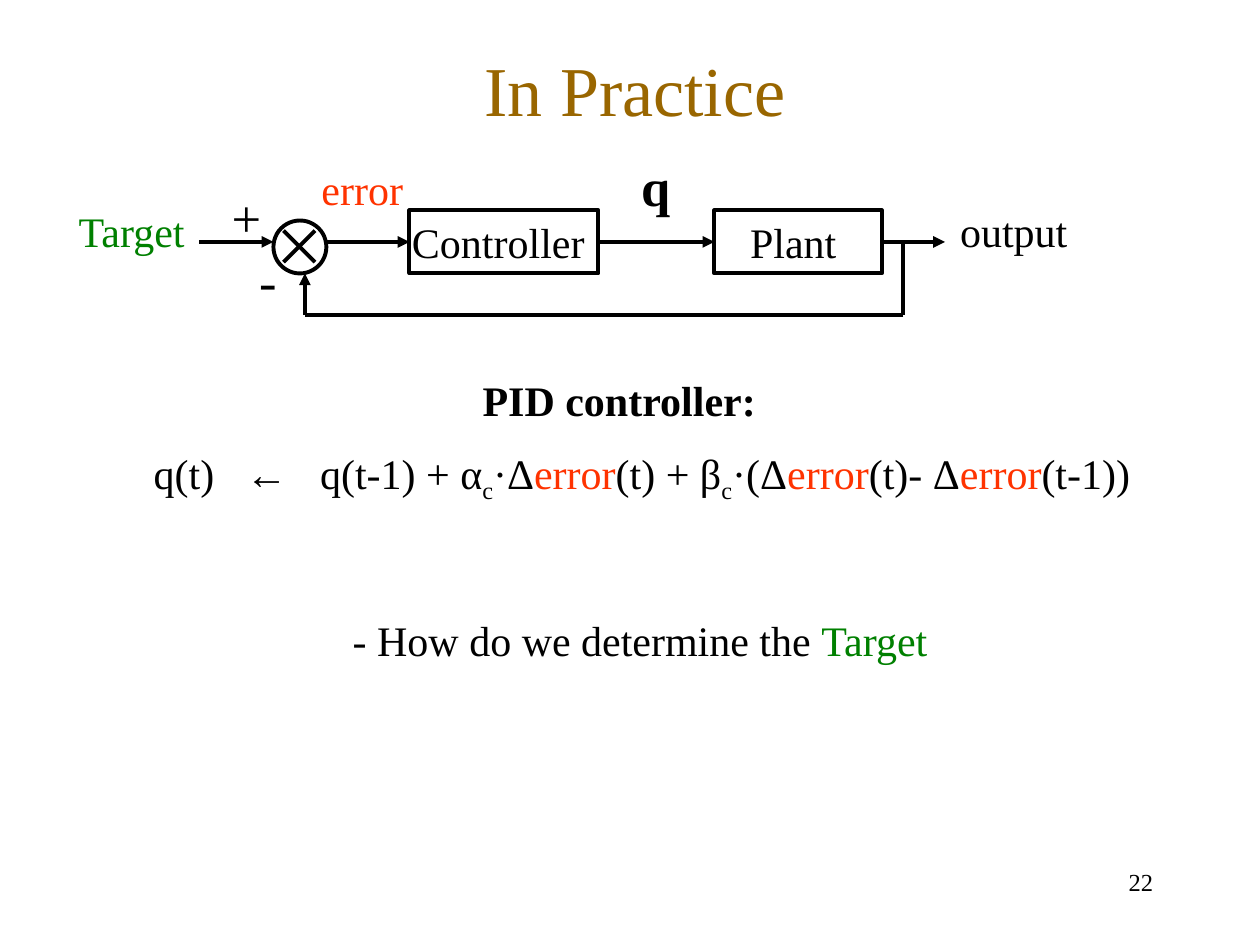
"""Build the "In Practice" slide: a feedback control loop and its PID rule."""
from dataclasses import dataclass

from lxml import etree
from pptx import Presentation
from pptx.dml.color import RGBColor
from pptx.enum import shapes, text
from pptx.oxml import ns
from pptx.util import Inches, Pt


@dataclass(frozen=True)
class Theme:
    font: str = "Times New Roman"
    ink: str = "000000"
    title: str = "996600"
    error: str = "FF3300"
    target: str = "008000"
    title_size: int = 40
    sign_size: int = 30
    body_size: int = 24
    number_size: int = 14
    line_width: float = 2.25


THEME = Theme()
SIGNAL_Y = 1.92
FEEDBACK_X, FEEDBACK_Y = 2.42, 2.5
BRANCH_X = 7.17
LABEL_WIDTH = 1.25

TITLE = ("In Practice", 0.08, 0.08, 9.92, 1.25)
SUMMING_CIRCLE = (2.17, 1.75, 0.42, 0.42)
BLOCKS = {
    "Controller": (3.25, 1.67, 1.5, 0.5),
    "Plant": (5.67, 1.67, 1.33, 0.5),
}
BLOCK_LABELS = [
    ("Controller", 3.17, 1.67, 1.57, False),
    ("Plant", 5.67, 1.67, LABEL_WIDTH, True),
]
SIGNAL_LABELS = [
    ("error", 2.25, 1.25, THEME.error),
    ("output", 7.42, 1.58, THEME.ink),
    ("Target", 0.42, 1.58, THEME.target),
]
SIGNS = [("-", 1.5, 1.92, False), ("+", 1.33, 1.42, False), ("q", 4.58, 1.17, True)]
CROSS = [((2.25, 1.83), (2.5, 2.08)), ((2.5, 1.83), (2.25, 2.08))]
SIGNALS = [
    (1.58, 2.17, None, None),
    (2.58, 3.25, None, "Controller"),
    (4.75, 5.67, "Controller", "Plant"),
    (7.0, 7.5, "Plant", None),
]
FEEDBACK = [
    (BRANCH_X, SIGNAL_Y),
    (BRANCH_X, FEEDBACK_Y),
    (FEEDBACK_X, FEEDBACK_Y),
    (FEEDBACK_X, 2.17),
]
FORMULA = [
    ("q(t)\t←\tq(t-1) + α", {}),
    ("c", {"subscript": True}),
    ("·Δ", {}),
    ("error", {"color": THEME.error}),
    ("(t) + β", {}),
    ("c", {"subscript": True}),
    ("·(Δ", {}),
    ("error", {"color": THEME.error}),
    ("(t)- Δ", {}),
    ("error", {"color": THEME.error}),
    ("(t-1))", {}),
]
FORMULA_INDENT = 1.22
FORMULA_TABS = [0.73, 1.32]
QUESTION = [("- How do we determine the ", {}), ("Target", {"color": THEME.target})]


def add_text(slide, runs, left, top, width, height=0.5, size=THEME.body_size,
             align=text.PP_ALIGN.CENTER, wrap=True, grow=True, tabs=()):
    box = slide.shapes.add_textbox(*map(Inches, (left, top, width, height)))
    frame = box.text_frame
    frame.word_wrap = wrap
    if grow:
        frame.auto_size = text.MSO_AUTO_SIZE.SHAPE_TO_FIT_TEXT
    paragraph = frame.paragraphs[0]
    paragraph.alignment = align
    if tabs:
        tab_list = etree.SubElement(paragraph._p.get_or_add_pPr(), ns.qn("a:tabLst"))
        for position in tabs:
            etree.SubElement(tab_list, ns.qn("a:tab"), pos=str(Inches(position)), algn="l")
    for content, style in runs:
        run = paragraph.add_run()
        run.text = content
        font = run.font
        font.name, font.size = THEME.font, Pt(size)
        font.bold = style.get("bold", False)
        font.color.rgb = RGBColor.from_string(style.get("color", THEME.ink))
        if style.get("subscript"):
            font._element.set("baseline", "-25000")
    return frame


def set_line(line):
    line.color.rgb = RGBColor.from_string(THEME.ink)
    line.width = Pt(THEME.line_width)


def add_outline(slide, kind, bounds):
    shape = slide.shapes.add_shape(kind, *map(Inches, bounds))
    shape.shadow.inherit = False
    shape.fill.background()
    set_line(shape.line)
    return shape


def add_line(slide, start, end, arrow=False):
    connector = slide.shapes.add_connector(
        shapes.MSO_CONNECTOR.STRAIGHT, *map(Inches, (*start, *end)))
    set_line(connector.line)
    if arrow:
        etree.SubElement(connector.line._get_or_add_ln(), ns.qn("a:tailEnd"), type="triangle")
    etree.SubElement(connector._element.spPr, ns.qn("a:effectLst"))
    return connector


def draw_loop(slide):
    add_outline(slide, shapes.MSO_SHAPE.OVAL, SUMMING_CIRCLE)
    blocks = {name: add_outline(slide, shapes.MSO_SHAPE.RECTANGLE, bounds)
              for name, bounds in BLOCKS.items()}
    for start, end in CROSS:
        add_line(slide, start, end)
    for start_x, end_x, source, destination in SIGNALS:
        connector = add_line(slide, (start_x, SIGNAL_Y), (end_x, SIGNAL_Y), arrow=True)
        if source:
            connector.begin_connect(blocks[source], 3)
        if destination:
            connector.end_connect(blocks[destination], 1)
    for start, end in zip(FEEDBACK, FEEDBACK[1:]):
        add_line(slide, start, end, arrow=end == FEEDBACK[-1])
    for label, left, top, width, wrap in BLOCK_LABELS:
        add_text(slide, [(label, {})], left, top, width, wrap=wrap)
    for label, left, top, color in SIGNAL_LABELS:
        add_text(slide, [(label, {"color": color})], left, top, LABEL_WIDTH)
    for sign, left, top, bold in SIGNS:
        add_text(slide, [(sign, {"bold": bold})], left, top, LABEL_WIDTH, 0.6,
                 size=THEME.sign_size)


def main():
    presentation = Presentation()
    presentation.slide_width, presentation.slide_height = Inches(10), Inches(7.5)
    slide = presentation.slides.add_slide(presentation.slide_layouts[6])

    title, *bounds = TITLE
    title_frame = add_text(slide, [(title, {"color": THEME.title})], *bounds,
                           size=THEME.title_size, grow=False)
    title_frame.vertical_anchor = text.MSO_ANCHOR.MIDDLE
    draw_loop(slide)
    add_text(slide, [("PID controller:", {"bold": True})], 3.58, 2.92, 2.67)
    formula_frame = add_text(slide, FORMULA, 0, 3.5, 10, 0.56,
                             align=text.PP_ALIGN.LEFT, tabs=FORMULA_TABS)
    formula_frame.margin_left = Inches(FORMULA_INDENT)
    add_text(slide, QUESTION, 0.08, 4.83, 10)
    add_text(slide, [("22", {})], 7.17, 6.83, 2.08, size=THEME.number_size,
             align=text.PP_ALIGN.RIGHT, grow=False)
    presentation.save("out.pptx")


if __name__ == "__main__":
    main()
